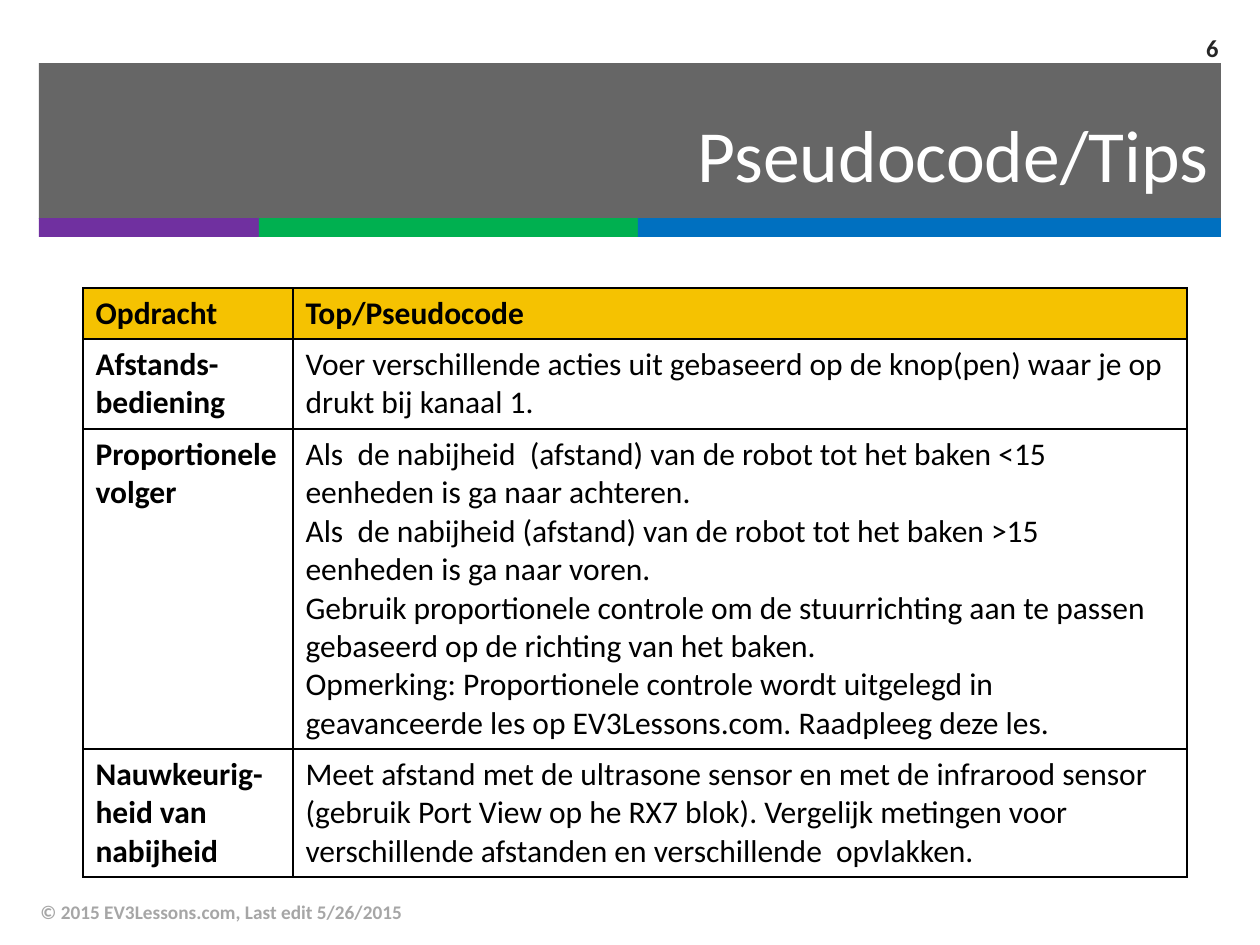
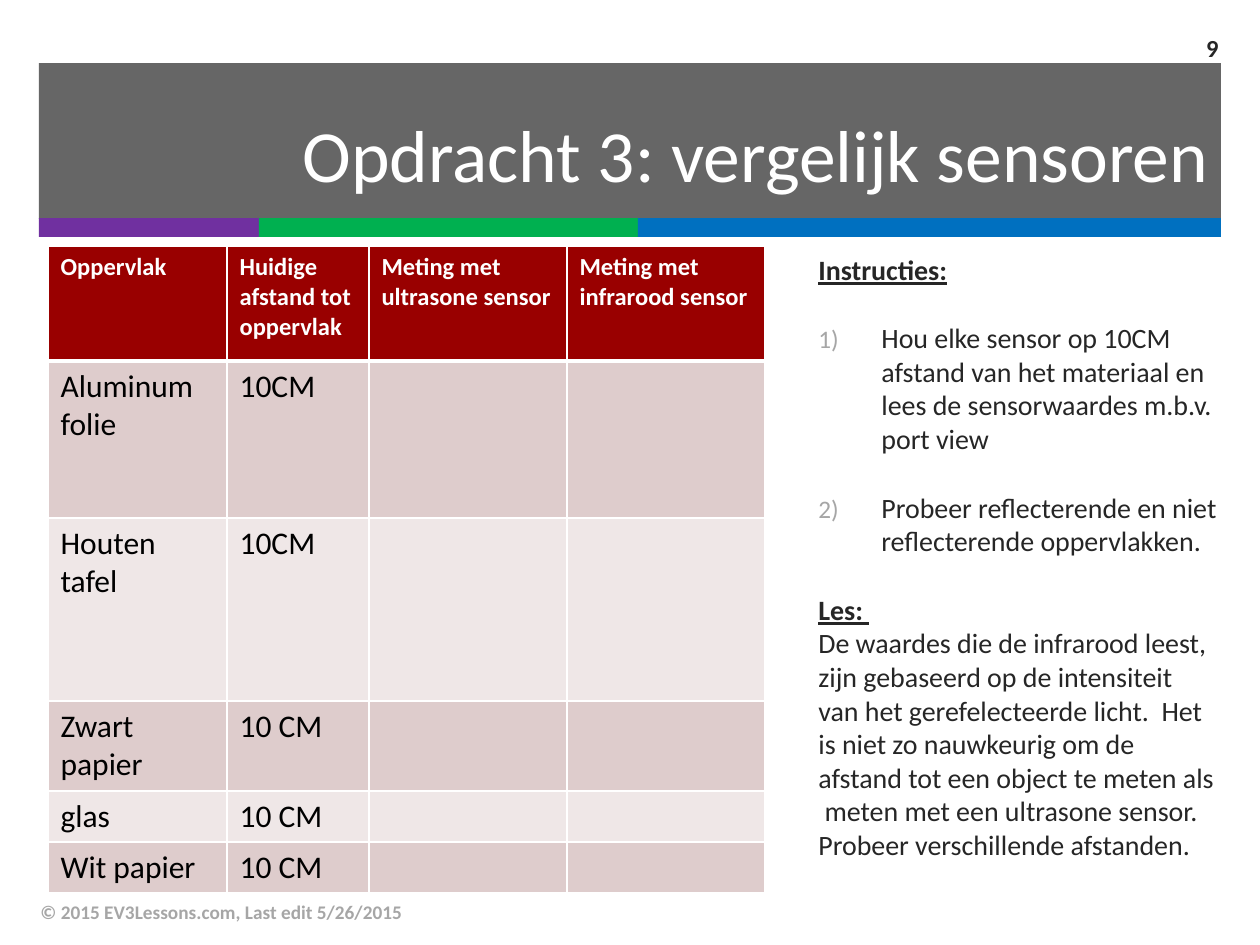
from lxml import etree
from pptx import Presentation
from pptx.dml.color import RGBColor
from pptx.enum.shapes import MSO_SHAPE
from pptx.enum.text import MSO_ANCHOR as ANCHOR, PP_ALIGN as ALIGN
from pptx.oxml.ns import qn
from pptx.util import Emu, Pt

FONT = "Calibri"
INK, BLACK, WHITE, GREY = "262626", "000000", "FFFFFF", "A6A6A6"
YELLOW, RED, PINK, PALE = "F5C201", "990000", "DECCCC", "EFE7E7"
BANDS = [
    (39, 63, 1182, 156, INK),
    (39, 218, 220, 19, "7030A0"),
    (259, 218, 379, 19, "00B050"),
    (638, 218, 583, 19, "0070C0"),
]
FOOTER = "© 2015 EV3Lessons.com, Last edit 5/26/2015"
rgb = RGBColor.from_string


def px(count):
    return Emu(round(count * 914400 / 126))


def style(para, size, color, bold=False, align=ALIGN.LEFT):
    para.alignment = align
    para.font.name = FONT
    para.font.size = Pt(size)
    para.font.bold = bold
    para.font.color.rgb = rgb(color)


tips = {
    "title": "Pseudocode/Tips",
    "number": "6",
    "at": (83, 288),
    "columns": [210, 894],
    "heights": [51, 90, 320, 128],
    "header": (18, BLACK, YELLOW),
    "row_fills": [None],
    "bold_first_column": True,
    "border": BLACK,
    "header_rule": 1,
    "rows": [
        ["Opdracht", "Top/Pseudocode"],
        ["Afstands-\nbediening",
         "Voer verschillende acties uit gebaseerd op de knop(pen) waar je op drukt bij kanaal 1."],
        ["Proportionele volger", [
            "Als  de nabijheid  (afstand) van de robot tot het baken <15 eenheden is ga naar achteren.",
            "Als  de nabijheid (afstand) van de robot tot het baken >15 eenheden is ga naar voren.",
            "Gebruik proportionele controle om de stuurrichting aan te passen gebaseerd op de richting van het baken.",
            "Opmerking: Proportionele controle wordt uitgelegd in geavanceerde les op EV3Lessons.com. Raadpleeg deze les.",
        ]],
        ["Nauwkeurig-heid van nabijheid",
         "Meet afstand met de ultrasone sensor en met de infrarood sensor (gebruik Port View op he RX7 blok). "
         "Vergelijk metingen voor verschillende afstanden en verschillende  opvlakken."],
    ],
}
sensors = {
    "title": "Opdracht 3: vergelijk sensoren",
    "number": "9",
    "at": (48, 246),
    "columns": [179, 142, 198, 198],
    "heights": [115, 157, 183, 90, 51, 51],
    "header": (14, WHITE, RED),
    "row_fills": [PINK, PALE],
    "bold_first_column": False,
    "border": WHITE,
    "header_rule": 3,
    "rows": [
        ["Oppervlak", "Huidige afstand tot oppervlak",
         "Meting met ultrasone sensor", "Meting met infrarood sensor"],
        ["Aluminum folie", "10CM", "", ""],
        ["Houten tafel", "10CM", "", ""],
        ["Zwart papier", "10 CM", "", ""],
        ["glas", "10 CM", "", ""],
        ["Wit papier", "10 CM", "", ""],
    ],
}

deck = Presentation()
deck.slide_width, deck.slide_height = px(1260), px(945)

for content in (tips, sensors):
    page = deck.slides.add_slide(deck.slide_layouts[5])

    for left, top, width, height, color in BANDS:
        band = page.shapes.add_shape(MSO_SHAPE.RECTANGLE, px(left), px(top), px(width), px(height))
        band.shadow.inherit = False
        band.line.fill.background()
        band.fill.solid()
        band.fill.fore_color.rgb = rgb(color)
        if color == INK:
            tone = band.element.spPr.find(".//" + qn("a:srgbClr"))
            etree.SubElement(tone, qn("a:alpha"), val="70000")

    title = page.shapes.title
    page.shapes.element.append(title.element)
    title.left, title.top, title.width, title.height = px(39), px(87), px(1182), px(133)
    title.text_frame.text = content["title"]
    title.text_frame.vertical_anchor = ANCHOR.MIDDLE
    style(title.text_frame.paragraphs[0], 42, WHITE, align=ALIGN.RIGHT)

    for text, place, size, color, align in [
        (FOOTER, (28, 887, 844, 50), 11, GREY, ALIGN.LEFT),
        (content["number"], (1144, 23, 87, 49), 14, INK, ALIGN.RIGHT),
    ]:
        box = page.shapes.add_textbox(*map(px, place))
        box.text_frame.word_wrap = True
        box.text_frame.vertical_anchor = ANCHOR.MIDDLE
        box.text_frame.text = text
        style(box.text_frame.paragraphs[0], size, color, True, align)

    rows, columns, heights = content["rows"], content["columns"], content["heights"]
    frame = page.shapes.add_table(
        len(rows), len(columns), *map(px, content["at"]), px(sum(columns)), px(sum(heights)))
    table = frame.table
    table.first_row = table.horz_banding = False
    for column, width in zip(table.columns, columns):
        column.width = px(width)
    for row, height in zip(table.rows, heights):
        row.height = px(height)

    header_size, header_color, header_fill = content["header"]
    for row_index, row in enumerate(rows):
        is_header = row_index == 0
        fills = content["row_fills"]
        fill = header_fill if is_header else fills[(row_index - 1) % len(fills)]
        for column_index, entry in enumerate(row):
            cell = table.cell(row_index, column_index)
            lines = entry if isinstance(entry, list) else [entry]
            bold = is_header or (content["bold_first_column"] and column_index == 0)
            for line_index, line in enumerate(lines):
                para = cell.text_frame.paragraphs[0] if line_index == 0 else cell.text_frame.add_paragraph()
                para.text = line
                style(para, header_size if is_header else 18, header_color if is_header else BLACK, bold)
            properties = cell._tc.get_or_add_tcPr()
            for side in ("L", "R", "T", "B"):
                on_rule = (row_index, side) in [(0, "B"), (1, "T")]
                weight = content["header_rule"] if on_rule else 1
                edge = etree.SubElement(properties, qn("a:ln" + side), w=str(Pt(weight)))
                paint = etree.SubElement(edge, qn("a:solidFill"))
                etree.SubElement(paint, qn("a:srgbClr"), val=content["border"])
            if fill:
                cell.fill.solid()
                cell.fill.fore_color.rgb = rgb(fill)
            else:
                cell.fill.background()

instructions = page.shapes.add_textbox(px(806), px(246), px(425), px(551)).text_frame
instructions.word_wrap = True
heading = instructions.paragraphs[0]
heading.text = "Instructies:"
style(heading, 16, INK, True)
heading.font.underline = True

for step in [
    "Hou elke sensor op 10CM afstand van het materiaal en lees de sensorwaardes m.b.v. port view",
    "Probeer reflecterende en niet reflecterende oppervlakken.",
]:
    para = instructions.add_paragraph()
    para.text = step
    para.space_before = Pt(20)
    properties = para._p.get_or_add_pPr()
    properties.set("marL", str(px(63)))
    properties.set("indent", str(-px(63)))
    tone = etree.SubElement(properties, qn("a:buClr"))
    etree.SubElement(tone, qn("a:srgbClr"), val=GREY)
    etree.SubElement(properties, qn("a:buSzPct"), val="90000")
    etree.SubElement(properties, qn("a:buFont"), typeface=FONT)
    etree.SubElement(properties, qn("a:buAutoNum"), type="arabicParenR")
    style(para, 16, INK)

lesson = instructions.add_paragraph()
lesson.space_before = Pt(20)
style(lesson, 16, INK)
span = lesson.add_run()
span.text = "Les: "
span.font.bold = span.font.underline = True
lesson.add_line_break()
lesson.add_run().text = (
    "De waardes die de infrarood leest,  zijn gebaseerd op de intensiteit van het gerefelecteerde licht.  "
    "Het is niet zo nauwkeurig om de afstand tot een object te meten als  meten met een ultrasone sensor. "
    "Probeer verschillende afstanden.")

deck.save("out.pptx")
